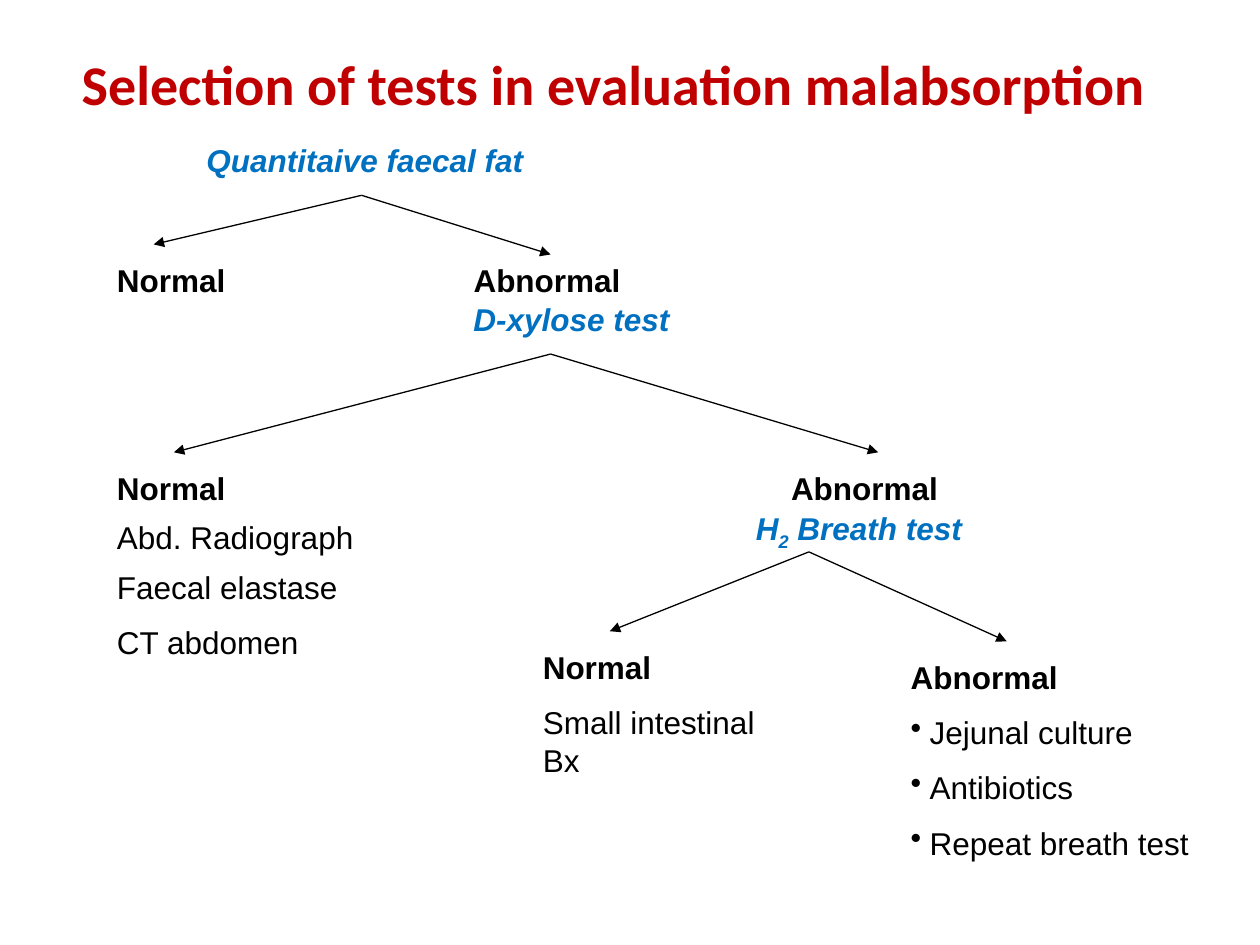
from lxml import etree
from pptx import Presentation
from pptx.dml.color import RGBColor
from pptx.enum.shapes import MSO_CONNECTOR
from pptx.oxml.ns import qn
from pptx.util import Inches, Pt

STRAIGHT = MSO_CONNECTOR.STRAIGHT
SLIDE_W, SLIDE_H = Inches(10), Inches(7.5)
COL, ROW = SLIDE_W / 100, SLIDE_H / 75
RED, BLUE, BLACK = "C00000", "0070C0", "000000"
HEAD = {"bold": True}
TEST = {"bold": True, "italic": True, "color": BLUE}
SUB = {**TEST, "baseline": -25000}
BODY = {}
BULLET = {"bullet": True}


def rgb(value):
    return RGBColor.from_string(value)


def add_run(p, text, size=18, font="Arial", color=BLACK,
            bold=False, italic=False, baseline=None):
    r = p.add_run()
    r.text = text
    r.font.size = Pt(size)
    r.font.name = font
    r.font.bold = bold
    r.font.italic = italic
    r.font.color.rgb = rgb(color)
    if baseline is not None:
        r.font._element.set("baseline", str(baseline))


def add_bullet(p):
    pPr = p._p.get_or_add_pPr()
    pPr.set("marL", str(Inches(0.15)))
    pPr.set("indent", str(-Inches(0.15)))
    etree.SubElement(pPr, qn("a:buChar")).set("char", "•")


def add_text(slide, box, paragraphs):
    x, y, w, h = box
    sp = slide.shapes.add_textbox(int(x * COL), int(y * ROW),
                                  int(w * COL), int(h * ROW))
    tf = sp.text_frame
    tf.word_wrap = True
    for i, runs in enumerate(paragraphs):
        p = tf.add_paragraph() if i else tf.paragraphs[0]
        if i:
            p.space_before = Pt(10)
        for text, style in runs:
            style = dict(style)
            if style.pop("bullet", False):
                add_bullet(p)
            add_run(p, text, **style)


def add_arrow(slide, start, end):
    (x1, y1), (x2, y2) = start, end
    line = slide.shapes.add_connector(STRAIGHT, int(x1 * COL), int(y1 * ROW),
                                      int(x2 * COL), int(y2 * ROW))
    line.line.color.rgb = rgb(BLACK)
    line.line.width = Pt(0.75)
    etree.SubElement(line.line._get_or_add_ln(), qn("a:tailEnd")).set("type", "triangle")
    etree.SubElement(line._element.spPr, qn("a:effectLst"))


def add_title(slide, box):
    style = {"size": 32, "font": "Calibri", "color": RED, "bold": True}
    add_text(slide, box, [[("Selection of tests in evaluation malabsorption", style)]])


def add_branch(slide, origin, texts, apex, ends):
    left, top = origin
    for (x, y, w, h), paragraphs in texts:
        add_text(slide, (left + x, top + y, w, h), paragraphs)
    for x, y in ends:
        add_arrow(slide, (left + apex[0], top + apex[1]), (left + x, top + y))


def main():
    prs = Presentation()
    prs.slide_width, prs.slide_height = SLIDE_W, SLIDE_H
    slide = prs.slides.add_slide(prs.slide_layouts[6])

    add_title(slide, (5.5, 3.4, 88.2, 6.4))
    add_branch(slide, (8.3, 10.7), [
        ((7.1, 0, 29.9, 4), [[("Quantitaive faecal fat", TEST)]]),
        ((0, 9.5, 11, 4), [[("Normal", HEAD)]]),
        ((28.3, 9.5, 21.2, 4), [[("Abnormal", HEAD)]]),
    ], (20.4, 4.8), [(3.9, 8.7), (35.4, 9.5)])
    add_branch(slide, (8.3, 23.3), [
        ((28.3, 0, 24.4, 4), [[("D-xylose test", TEST)]]),
        ((0, 13.4, 14.2, 4), [[("Normal", HEAD)]]),
        ((0, 17.3, 26.8, 4), [[("Abd. Radiograph", BODY)]]),
        ((0, 21.3, 22, 8.5), [[("Faecal elastase", BODY)],
                              [("CT abdomen", BODY)]]),
        ((53.5, 13.4, 15, 4), [[("Abnormal", HEAD)]]),
    ], (35.4, 4.8), [(5.5, 12.6), (61.4, 12.6)])
    add_branch(slide, (42.1, 39.9), [
        ((16.9, 0, 24.1, 4), [[("H", TEST), ("2", SUB), (" Breath test", TEST)]]),
        ((0, 11, 19.7, 11.5), [[("Normal", HEAD)],
                               [("Small intestinal Bx", BODY)]]),
        ((29.2, 11.8, 26.4, 17.6), [[("Abnormal", HEAD)],
                                    [("Jejunal culture", BULLET)],
                                    [("Antibiotics", BULLET)],
                                    [("Repeat breath test", BULLET)]]),
    ], (22.1, 3.9), [(6.3, 10.2), (37.8, 11)])

    prs.save("out.pptx")


if __name__ == "__main__":
    main()
